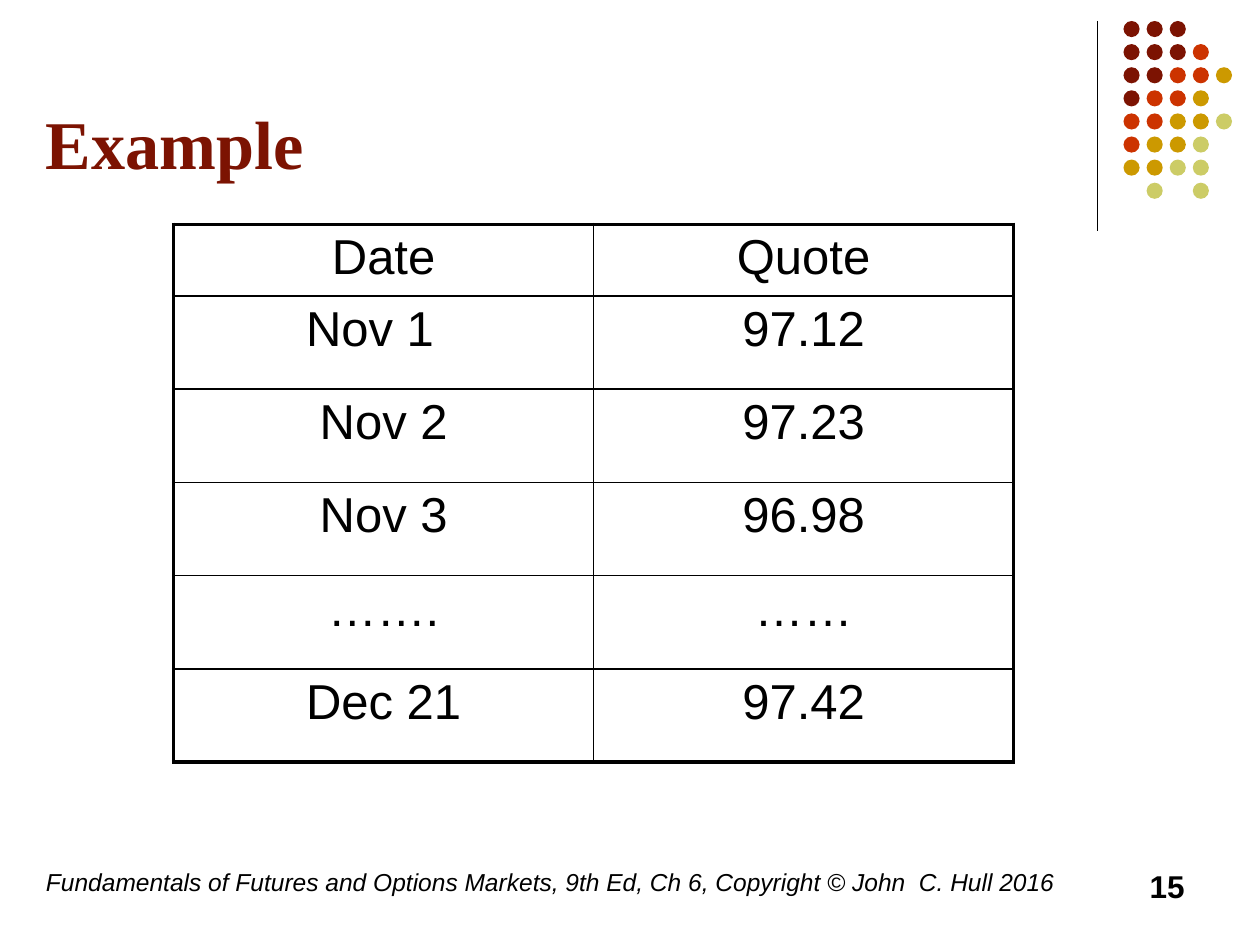
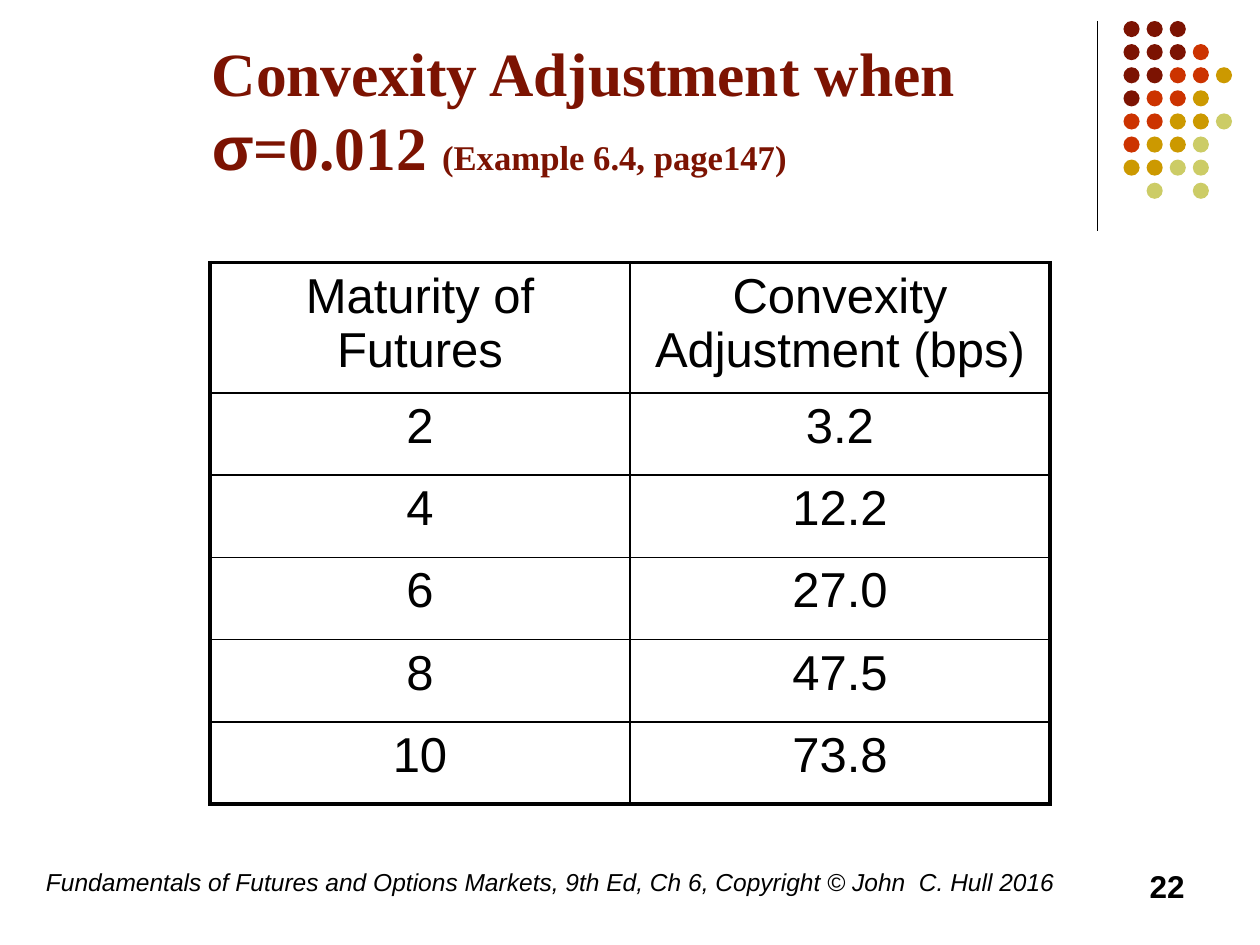
from lxml.etree import SubElement
from pptx import Presentation
from pptx.dml.color import RGBColor
from pptx.enum.shapes import MSO_CONNECTOR, MSO_SHAPE
from pptx.enum.text import MSO_ANCHOR, PP_ALIGN
from pptx.oxml.ns import qn
from pptx.util import Pt

FOOTER = "Fundamentals of Futures and Options Markets, 9th Ed, Ch 6, Copyright © John  C. Hull 2016"
DOT_COLOURS = ["7C1302", "CC3300", "CC9900", "CCCC66"]
DOT_ROWS = ["000", "0001", "00112", "0112", "11223", "1223", "2233", " 3 3"]

QUOTES = [
    ("Date", "Quote"),
    ("Nov 1", "97.12"),
    ("Nov 2", "97.23"),
    ("Nov 3", "96.98"),
    ("…….", "……"),
    ("Dec 21", "97.42"),
]
ADJUSTMENTS = [
    ("Maturity of Futures", "Convexity Adjustment (bps)"),
    ("2", "3.2"),
    ("4", "12.2"),
    ("6", "27.0"),
    ("8", "47.5"),
    ("10", "73.8"),
]


def colour(value):
    return RGBColor.from_string(value)


class Deck:
    serif, sans = "Times New Roman", "Arial"
    ink, accent = "000000", "7C1302"
    thin, thick = 1, 2.25

    def __init__(self):
        self.presentation = Presentation()
        self.presentation.slide_width = Pt(720)
        self.presentation.slide_height = Pt(540)
        self.page = None

    def new_page(self, number):
        layout = self.presentation.slide_layouts[6]
        self.page = self.presentation.slides.add_slide(layout)
        self.divider()
        self.dots()
        footer = self.text(FOOTER, 19.2, 492, 595.2, 36, 14)
        footer.font.italic = True
        page_number = self.text(str(number), 516, 492, 168, 36, 18)
        page_number.font.bold = True
        page_number.alignment = PP_ALIGN.RIGHT

    def divider(self):
        line = self.page.shapes.add_connector(
            MSO_CONNECTOR.STRAIGHT, Pt(627), Pt(12), Pt(627), Pt(132))
        line.line.color.rgb = colour(self.ink)
        line.line.width = Pt(0.75)
        SubElement(line._element.spPr, qn("a:effectLst"))

    def dots(self):
        group = self.page.shapes.add_group_shape()
        for row, shades in enumerate(DOT_ROWS):
            for column, shade in enumerate(shades):
                if shade == " ":
                    continue
                dot = group.shapes.add_shape(
                    MSO_SHAPE.OVAL, Pt(642 + 13.2 * column), Pt(12 + 13.2 * row),
                    Pt(9.2), Pt(9.2))
                dot.shadow.inherit = False
                dot.fill.solid()
                dot.fill.fore_color.rgb = colour(DOT_COLOURS[int(shade)])
                dot.line.fill.background()

    def box(self, left, top, width, height):
        box = self.page.shapes.add_textbox(Pt(left), Pt(top), Pt(width), Pt(height))
        box.text_frame.word_wrap = True
        return box.text_frame

    def style(self, font, size, name, shade):
        font.size = Pt(size)
        font.name = name
        font.color.rgb = colour(shade)

    def text(self, words, left, top, width, height, size):
        para = self.box(left, top, width, height).paragraphs[0]
        para.text = words
        self.style(para.font, size, self.sans, self.ink)
        return para

    def title(self, spans, left, top, width, height):
        frame = self.box(left, top, width, height)
        frame.vertical_anchor = MSO_ANCHOR.BOTTOM
        para = frame.paragraphs[0]
        for words, size, name in spans:
            span = para.add_run()
            span.text = words
            self.style(span.font, size, name, self.accent)
            span.font.bold = True

    def border(self, cell, side, width):
        line = SubElement(cell._tc.get_or_add_tcPr(), qn(f"a:ln{side}"), w=str(Pt(width)))
        fill = SubElement(line, qn("a:solidFill"))
        SubElement(fill, qn("a:srgbClr"), val=self.ink)

    def table(self, rows, left, top, head_height, row_height):
        last_row, last_column = len(rows) - 1, len(rows[0]) - 1
        height = head_height + row_height * last_row
        table = self.page.shapes.add_table(
            len(rows), len(rows[0]), Pt(left), Pt(top), Pt(480), Pt(height)).table
        table.first_row = table.horz_banding = False
        for r, values in enumerate(rows):
            table.rows[r].height = Pt(row_height if r else head_height)
            for c, value in enumerate(values):
                cell = table.cell(r, c)
                outer = {"L": c == 0, "R": c == last_column, "T": r == 0, "B": r == last_row}
                for side, is_outer in outer.items():
                    self.border(cell, side, self.thick if is_outer else self.thin)
                cell.fill.background()
                para = cell.text_frame.paragraphs[0]
                para.text = value
                para.alignment = PP_ALIGN.CENTER
                self.style(para.font, 28, self.sans, self.ink)
        return table


def main():
    deck = Deck()

    deck.new_page(15)
    deck.title([("Example", 39, deck.serif)], 19.2, 37.5, 612, 70.5)
    quotes = deck.table(QUOTES, 99.2, 128.2, 40.8, 53.3)
    quotes.cell(1, 0).margin_right = Pt(22.8)

    deck.new_page(22)
    deck.title([
        ("Convexity Adjustment when ", 35.1, deck.serif),
        ("σ", 35.1, deck.sans),
        ("=0.012 ", 35.1, deck.serif),
        ("(Example 6.4, page147)", 19.8, deck.serif),
    ], 114, 9.4, 516, 98.6)
    deck.table(ADJUSTMENTS, 120, 150, 74.4, 47)

    deck.presentation.save("out.pptx")


if __name__ == "__main__":
    main()
